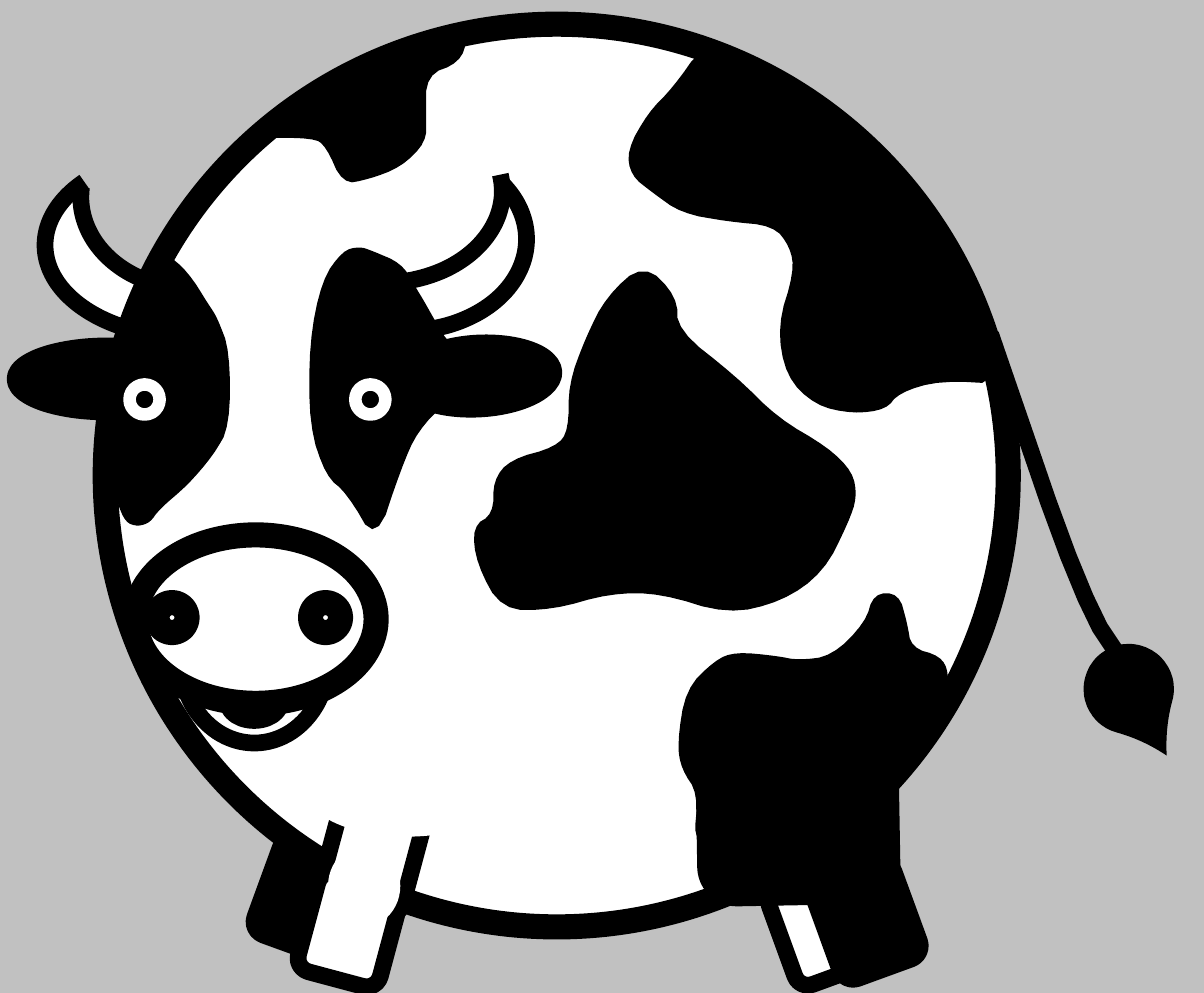
from pptx import Presentation
from pptx.dml.color import RGBColor
from pptx.enum.shapes import MSO_SHAPE as SHAPE
from pptx.util import Pt

BLACK = RGBColor(0, 0, 0)
WHITE = RGBColor(255, 255, 255)
GREY = RGBColor(0xC1, 0xC1, 0xC1)

LEG, ROUND, ARC, TEAR = SHAPE.ROUNDED_RECTANGLE, SHAPE.OVAL, SHAPE.ARC, SHAPE.TEAR
CLOSED_CURVE, OPEN_CURVE = "closed curve", "open curve"
ROUNDING_PASSES = 2

deck = Presentation()
deck.slide_width, deck.slide_height = Pt(288), Pt(237.6)
slide = deck.slides.add_slide(deck.slide_layouts[6])
slide.background.fill.solid()
slide.background.fill.fore_color.rgb = GREY


def round_corners(corners, closed):
    points = corners
    for _ in range(ROUNDING_PASSES):
        following = points[1:] + points[:1] if closed else points[1:]
        rounded = []
        for (x, y), (next_x, next_y) in zip(points, following):
            for share in (0.25, 0.75):
                rounded.append((x + share * (next_x - x), y + share * (next_y - y)))
        points = rounded if closed else [corners[0], *rounded, corners[-1]]
    return points


def add_part(kind, place, fill, line=BLACK, weight=4, turn=0, adjust=(), flips=()):
    if kind in (CLOSED_CURVE, OPEN_CURVE):
        closed = kind == CLOSED_CURVE
        points = [(Pt(x), Pt(y)) for x, y in round_corners(place, closed)]
        builder = slide.shapes.build_freeform(*points[0])
        builder.add_line_segments(points[1:], close=closed)
        part = builder.convert_to_shape()
    else:
        part = slide.shapes.add_shape(kind, *[Pt(length) for length in place])
    part.shadow.inherit = False
    part.rotation = turn
    for colour, paint in ((fill, part.fill), (line, part.line.fill)):
        if colour is None:
            paint.background()
        else:
            paint.solid()
            paint.fore_color.rgb = colour
    if line is not None:
        part.line.width = Pt(weight)
    for index, value in enumerate(adjust):
        part.adjustments[index] = value
    for flip in flips:
        part.element.spPr.xfrm.set(flip, "1")


hoof_width, hoof_height = 20.2, 24.5
far_legs = [(186.5, 209.5, 340, WHITE), (63.4, 202.3, 20, BLACK)]
near_legs = [(197.3, 208.1, 340, BLACK), (73.4, 210.2, 15, WHITE)]

for left, top, lean, coat in far_legs:
    add_part(LEG, (left, top, hoof_width, hoof_height), coat, turn=lean)

left_horn = [
    (35, 68), (28, 64), (23, 59), (21, 50), (20, 46), (16, 49),
    (12, 55), (12, 63), (17, 69), (23, 75), (34, 79)]
left_horn_edges = [
    ((10.8, 36.7, 67.7, 43.9), (183.59, 19.08)),
    ((19.4, 25.2, 53.3, 43.9), (172.99, 2.91))]
right_horn_edges = [
    ((68.4, 35.3, 57.6, 43.9), (172.42, 19.08)),
    ((62.6, 23.8, 57.6, 43.9), (167.25, 4.77))]

add_part(CLOSED_CURVE, left_horn, WHITE, None)
for box, sweep in left_horn_edges:
    add_part(ARC, box, None, adjust=sweep, flips=("flipH", "flipV"))

add_part(ROUND, (25.2, 5.8, 216, 216), WHITE, weight=6)

coat_patches = {
    "left eye": [
        (39, 60), (45, 65), (50, 73), (52, 76), (55, 84), (55, 102), (51, 109), (45, 116),
        (38, 122), (36, 125), (33, 126), (30, 125), (28, 120), (24, 108), (24, 105), (28, 83)],
    "right eye": [
        (107, 96), (122, 91), (111, 84), (107, 82), (102, 73), (99, 68), (96, 63), (89, 60),
        (86, 59), (82, 60), (77, 67), (74, 82), (74, 102), (78, 114), (83, 118), (90, 130),
        (96, 112), (100, 103)],
    "back": [
        (61, 33), (75, 33), (78, 35), (82, 44), (88, 43), (96, 40), (102, 34), (102, 28),
        (102, 18), (110, 15), (112, 9), (105, 9), (86, 18), (73, 24)],
    "rump": [
        (168, 11), (161, 21), (155, 27), (150, 36), (151, 42), (156, 46), (163, 51), (174, 53),
        (185, 54), (189, 59), (190, 65), (186, 78), (188, 90), (195, 97), (204, 99), (212, 98),
        (215, 94), (225, 91), (241, 92), (231, 62), (209, 35), (174, 13)],
    "flank": [
        (133, 107), (122, 110), (118, 115), (118, 123), (113, 126), (114, 135), (120, 146),
        (132, 146), (146, 142), (158, 142), (174, 147), (187, 144), (197, 137), (203, 125),
        (205, 119), (204, 113), (198, 107), (186, 100), (176, 90), (162, 79), (162, 71),
        (154, 63), (145, 71), (140, 81), (136, 92), (136, 103)],
    "thigh": [
        (169, 199), (166, 201), (167, 190), (163, 184), (162, 178), (164, 165), (171, 158),
        (176, 156), (186, 157), (191, 158), (199, 157), (207, 149), (209, 142), (215, 142),
        (217, 149), (218, 155), (225, 157), (227, 161), (226, 166), (203, 202)],
}
for corners in coat_patches.values():
    add_part(CLOSED_CURVE, corners, BLACK, None)

for box, sweep in right_horn_edges:
    add_part(ARC, box, None, adjust=sweep, flips=("flipV",))

add_part(ARC, (3.6, 82.8, 43.9, 15.8), BLACK, adjust=(28.85, 200.68))
add_part(ARC, (96.5, 82.1, 36, 15.8), BLACK, turn=356.8, adjust=(18.4, 197.6), flips=("flipH",))

pupil_size = nostril_size = 7.2
for eye_left in (31, 85):
    add_part(ROUND, (eye_left, 92, pupil_size, pupil_size), BLACK, WHITE, 3)

add_part(OPEN_CURVE, [(237, 80), (259, 144), (270, 160.5)], None)
add_part(TEAR, (259.2, 154.1, 21.6, 21.6), BLACK, None, turn=105.3, adjust=(1.2,))

add_part(LEG, (168.5, 165.6, 44.6, 49), BLACK, turn=359)
add_part(LEG, (79.2, 189.4, hoof_width, 28.1), WHITE, turn=15)
for left, top, lean, coat in near_legs:
    add_part(LEG, (left, top, hoof_width, hoof_height), coat, turn=lean)
for shoulder_blend in ((73.4, 178.6, 48.2, 21.6), (78.5, 202.3, 17.3, 19.4)):
    add_part(ROUND, shoulder_blend, WHITE, None)

chin, mouth, muzzle = (43.2, 137.5, 35.3, 40.3), (55.4, 164.2, 10.8, 7.2), (32.4, 128, 57.6, 40.3)
add_part(ROUND, chin, WHITE)
add_part(ROUND, mouth, BLACK, weight=6)
add_part(ROUND, muzzle, WHITE, weight=6)
for nostril_left in (37.6, 74.3):
    add_part(ROUND, (nostril_left, 144.2, nostril_size, nostril_size), WHITE, weight=6)

deck.save("out.pptx")
